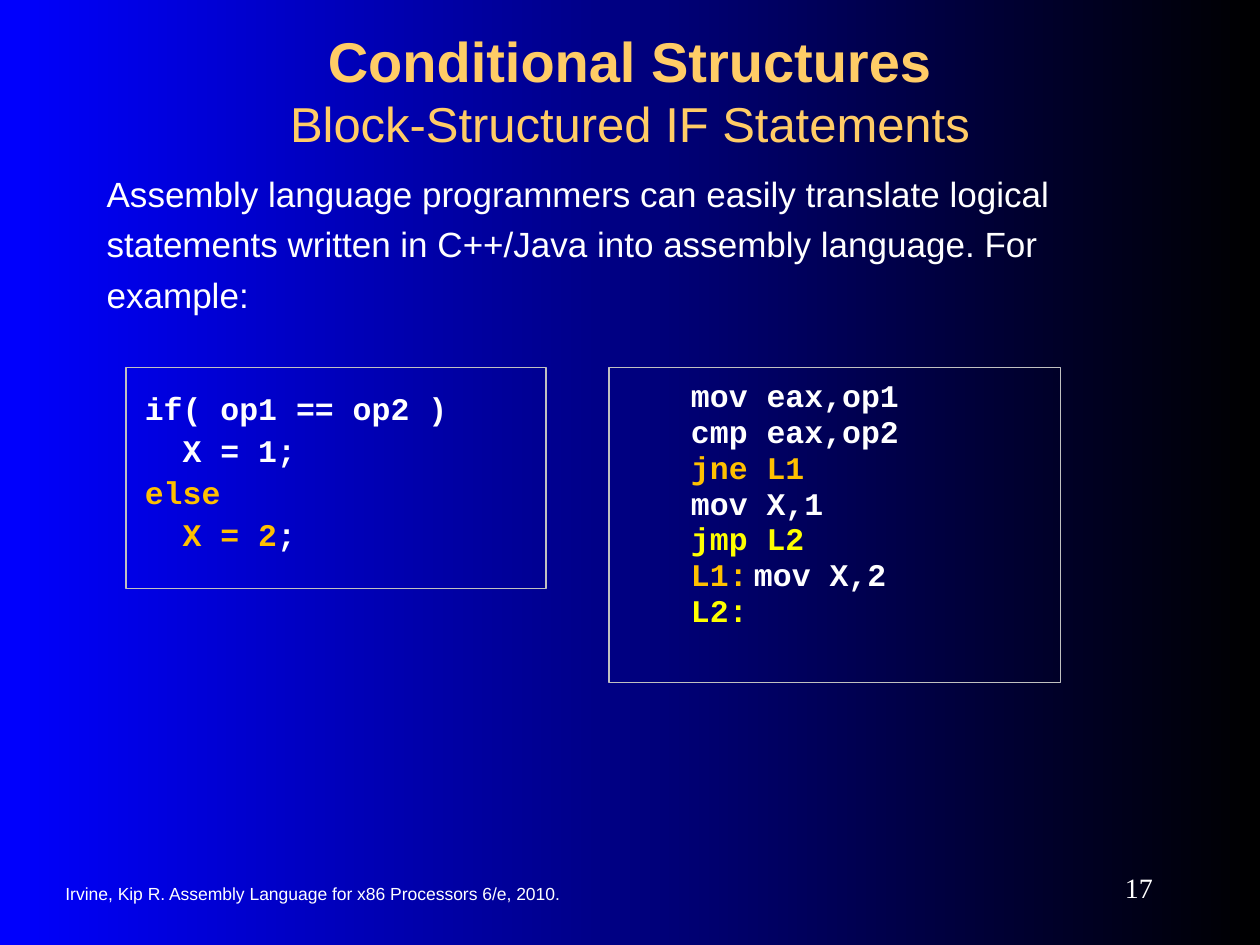
from dataclasses import dataclass

from pptx import Presentation
from pptx.dml.color import RGBColor as RGB
from pptx.enum.shapes import MSO_SHAPE as Shape
from pptx.enum.text import MSO_ANCHOR as Anchor, PP_ALIGN as Align
from pptx.util import Cm, Pt

BLUE = RGB(0x00, 0x00, 0xFF)
BLACK = RGB(0x00, 0x00, 0x00)
WHITE = RGB(0xFF, 0xFF, 0xFF)
GOLD = RGB(0xFF, 0xCC, 0x66)
ORANGE = RGB(0xFF, 0xC0, 0x00)
YELLOW = RGB(0xFF, 0xFF, 0x00)
SILVER = RGB(0xC0, 0xC0, 0xC0)


@dataclass(frozen=True)
class Area:
    left: float
    top: float
    width: float
    height: float

    def place(self) -> tuple:
        return Cm(self.left), Cm(self.top), Cm(self.width), Cm(self.height)


@dataclass(frozen=True)
class Line:
    spans: tuple  # pairs of text and colour
    indent: float = 0


@dataclass(frozen=True)
class Code:
    area: Area
    pitch: float
    before: float
    lines: tuple


def style(para, size: float, face: str = "Arial", color=None, bold: bool = False) -> None:
    font = para.font
    font.size, font.name, font.bold = Pt(size), face, bold
    if color is not None:
        font.color.rgb = color


def add_text(slide, area: Area, text: str, size: float, face: str = "Arial",
             align=Align.LEFT, anchor=Anchor.MIDDLE):
    frame = slide.shapes.add_textbox(*area.place()).text_frame
    frame.word_wrap, frame.vertical_anchor = True, anchor
    para = frame.paragraphs[0]
    para.text, para.alignment = text, align
    style(para, size, face, WHITE)
    return para


def add_title(slide, area: Area) -> None:
    para = add_text(slide, area, "", 32, align=Align.CENTER)
    style(para, 32, color=GOLD)
    head = para.add_run()
    head.text, head.font.bold = "Conditional Structures", True
    para.add_line_break()
    sub = para.add_run()
    sub.text, sub.font.size = "Block-Structured IF Statements", Pt(28)


def add_code(slide, code: Code) -> None:
    box = slide.shapes.add_shape(Shape.RECTANGLE, *code.area.place())
    box.shadow.inherit = False
    box.fill.background()
    box.line.color.rgb, box.line.width = SILVER, Pt(0.75)
    frame = box.text_frame
    frame.word_wrap, frame.vertical_anchor = True, Anchor.TOP
    frame.margin_left = frame.margin_right = Cm(0.38)
    frame.margin_top = frame.margin_bottom = Cm(0.51)
    for num, line in enumerate(code.lines):
        para = frame.add_paragraph() if num else frame.paragraphs[0]
        para.alignment = Align.LEFT
        para.line_spacing, para.space_before = code.pitch, Pt(code.before)
        props = para._p.get_or_add_pPr()
        props.set("marL", str(int(Cm(line.indent))))
        props.set("indent", "0")
        style(para, 18, "Courier New", bold=True)
        for text, color in line.spans:
            run = para.add_run()
            run.text, run.font.color.rgb = text, color


STEP = 0.76  # two characters of code
MARGIN = 1.27

SOURCE = Code(Area(2.54, 7.41, 8.47, 4.45), 0.9, 4.7, (
    Line((("if( op1 == op2 )", WHITE),)),
    Line((("X = 1;", WHITE),), STEP),
    Line((("else", ORANGE),)),
    Line((("X = 2", ORANGE), (";", WHITE)), STEP),
))
RESULT = Code(Area(12.28, 7.41, 9.1, 6.35), 0.5, 9.6, tuple(
    Line(spans, MARGIN) for spans in (
        (("mov eax,op1", WHITE),),
        (("cmp eax,op2", WHITE),),
        (("jne L1", ORANGE),),
        (("mov X,1", WHITE),),
        (("jmp L2", YELLOW),),
        (("L1:\t", ORANGE), ("mov X,2", WHITE)),
        (("L2:", YELLOW),),
    )
))


def main() -> None:
    deck = Presentation()
    deck.slide_width, deck.slide_height = Cm(25.4), Cm(19.05)
    slide = deck.slides.add_slide(deck.slide_layouts[6])

    # Background
    fill = slide.background.fill
    fill.gradient()
    fill.gradient_angle = 0
    for stop, color in zip(fill.gradient_stops, (BLUE, BLACK)):
        stop.color.rgb = color

    # Footer
    add_text(slide, Area(1.07, 17.6, 13.13, 0.84),
             "Irvine, Kip R. Assembly Language for x86 Processors 6/e, 2010.", 10)
    add_text(slide, Area(20.75, 17.35, 2.74, 1.07), "17", 16,
             "Times New Roman", Align.RIGHT)

    # Title and lead
    add_title(slide, Area(1.9, 0.64, 21.6, 2.33))
    lead = add_text(
        slide, Area(1.9, 3.18, 21.6, 3.6),
        "Assembly language programmers can easily translate logical statements "
        "written in C++/Java into assembly language. For example:",
        20, anchor=Anchor.TOP)
    lead.line_spacing, lead.space_before = 1.2, Pt(4)

    # Code boxes
    for code in (RESULT, SOURCE):
        add_code(slide, code)

    deck.save("out.pptx")


if __name__ == "__main__":
    main()
